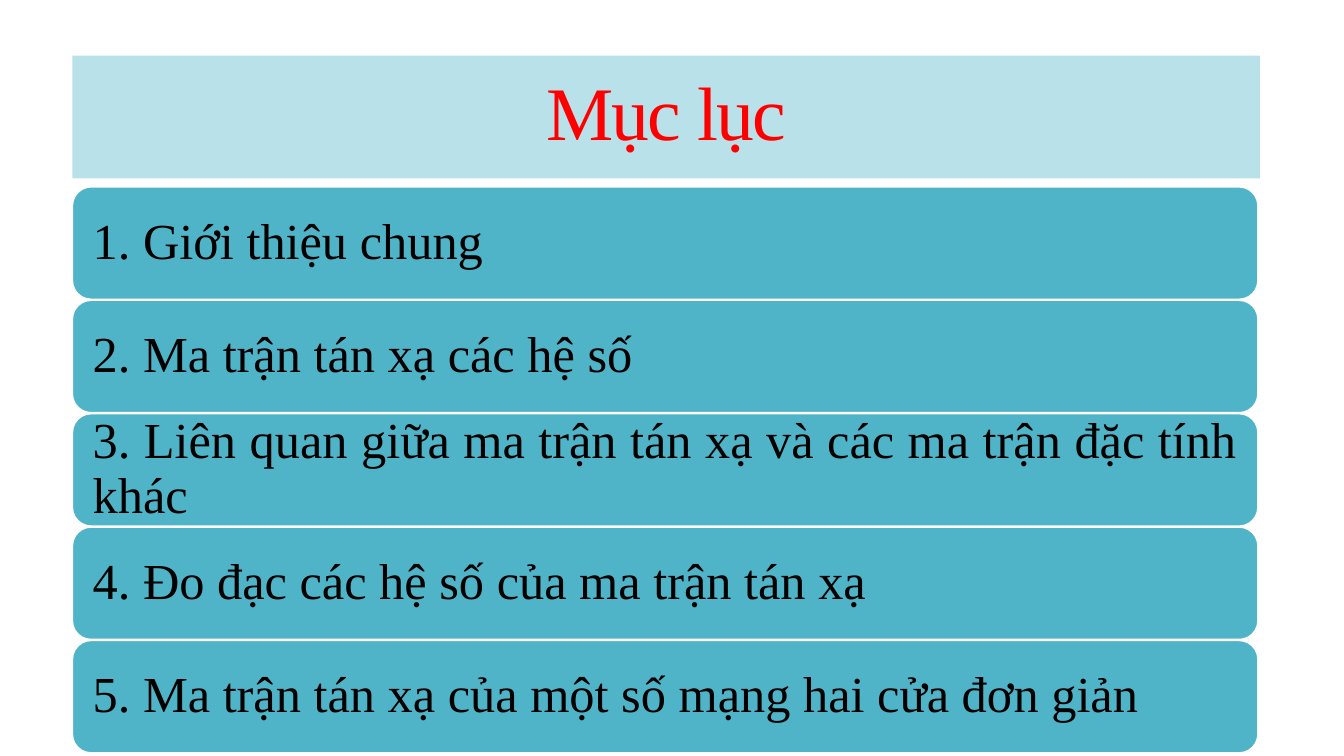
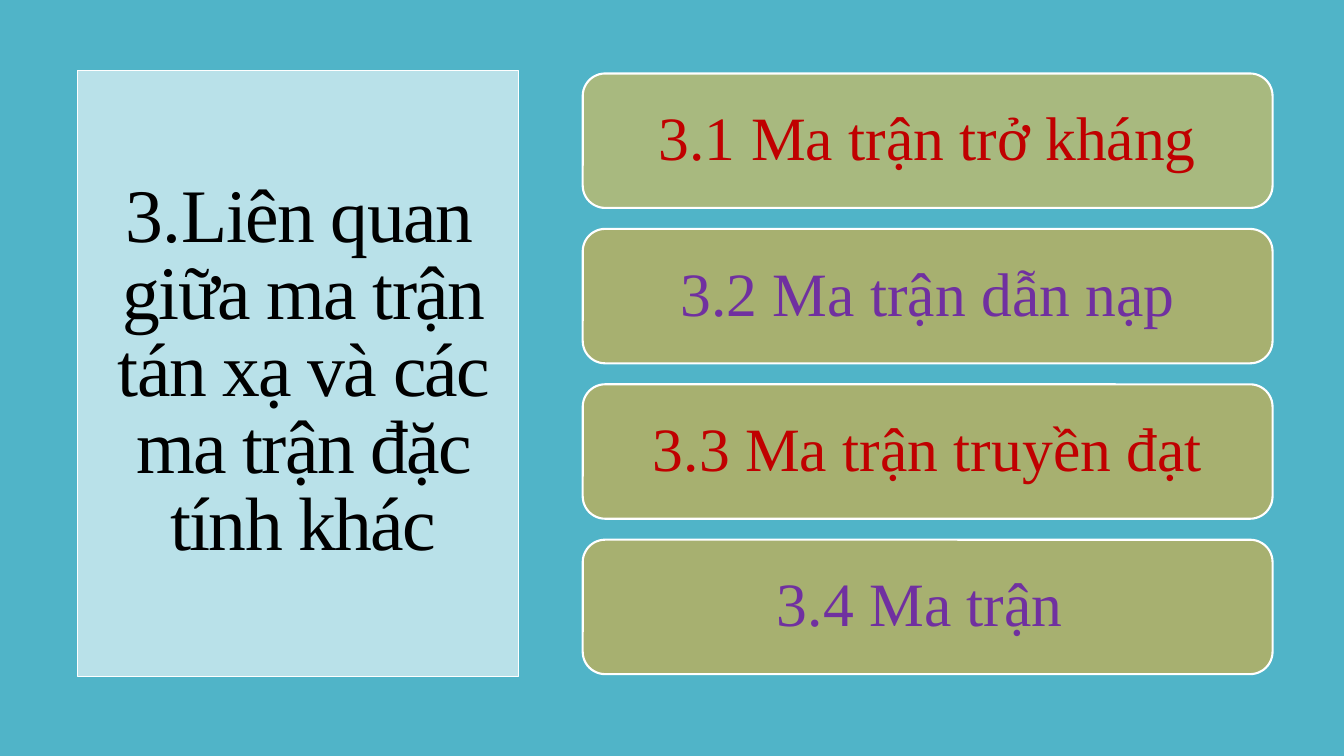
from pptx import Presentation
from pptx.dml.color import RGBColor
from pptx.enum.shapes import MSO_SHAPE
from pptx.enum.text import MSO_ANCHOR, MSO_AUTO_SIZE, PP_ALIGN
from pptx.oxml.ns import qn
from pptx.util import Pt
from lxml import etree

PX = 9525
FONT = "Times New Roman"
HUES = {
    "white": "FFFFFF", "black": "000000", "teal": "50B4C8", "pale": "B9E1E9",
    "sage": "A8B97F", "olive": "A7B070", "red": "FF0000", "dark": "C00000",
    "plum": "7030A0",
}
DECK = [
    {
        "back": "white", "title": "Mục lục", "hue": "red", "start": None,
        "head": (69, 53, 1131, 117), "edge": 0,
        "card": (69, 178, 1129, 107), "step": 108, "line": 1, "pad": 14,
        "size": 36, "align": PP_ALIGN.JUSTIFY,
        "rows": [
            ("1. Giới thiệu chung", "teal", "black"),
            ("2. Ma trận tán xạ các hệ số", "teal", "black"),
            ("3. Liên quan giữa ma trận tán xạ và các ma trận đặc tính khác", "teal", "black"),
            ("4. Đo đạc các hệ số của ma trận tán xạ", "teal", "black"),
            ("5. Ma trận tán xạ của một số mạng hai cửa đơn giản", "teal", "black"),
        ],
    },
    {
        "back": "teal", "hue": "black", "start": 3,
        "title": "Liên quan giữa ma trận tán xạ và các ma trận đặc tính khác",
        "head": (74, 67, 420, 577), "edge": 0.75,
        "card": (555, 70, 657, 128), "step": 148, "line": 1.5, "pad": 17,
        "size": 44, "align": PP_ALIGN.CENTER,
        "rows": [
            ("3.1 Ma trận trở kháng", "sage", "dark"),
            ("3.2 Ma trận dẫn nạp", "olive", "plum"),
            ("3.3 Ma trận truyền đạt", "olive", "dark"),
            ("3.4 Ma trận ", "olive", "plum"),
        ],
    },
]


def paint(shape, fill, width):
    shape.fill.solid()
    shape.fill.fore_color.rgb = RGBColor.from_string(HUES[fill])
    if width:
        shape.line.color.rgb = RGBColor.from_string(HUES["white"])
        shape.line.width = Pt(width)
    else:
        shape.line.fill.background()


def write(shape, text, size, hue, align, space, start=None):
    frame = shape.text_frame
    frame.word_wrap = True
    frame.auto_size = MSO_AUTO_SIZE.NONE
    frame.vertical_anchor = MSO_ANCHOR.MIDDLE
    para = frame.paragraphs[0]
    para.text = text
    para.alignment = align
    para.line_spacing = space
    if start:
        props = para._p.get_or_add_pPr()
        props.set("marL", "91440")
        props.set("indent", "-91440")
        num = etree.SubElement(props, qn("a:buAutoNum"))
        num.set("type", "arabicPeriod")
        num.set("startAt", str(start))
    para.font.name = FONT
    para.font.size = Pt(size)
    para.font.color.rgb = RGBColor.from_string(HUES[hue])
    return para


deck = Presentation()
deck.slide_width = 1280 * PX
deck.slide_height = 720 * PX

for page in DECK:
    slide = deck.slides.add_slide(deck.slide_layouts[5])
    slide.background.fill.solid()
    slide.background.fill.fore_color.rgb = RGBColor.from_string(HUES[page["back"]])

    title = slide.shapes.title
    title.left, title.top, title.width, title.height = [n * PX for n in page["head"]]
    paint(title, "pale", page["edge"])
    para = write(title, page["title"], 54, page["hue"], PP_ALIGN.CENTER, 0.85, page["start"])
    para.runs[0]._r.get_or_add_rPr().set("spc", "-120")

    left, top, width, height = page["card"]
    for i, (text, fill, hue) in enumerate(page["rows"]):
        card = slide.shapes.add_shape(
            MSO_SHAPE.ROUNDED_RECTANGLE,
            left * PX, (top + i * page["step"]) * PX, width * PX, height * PX)
        card.shadow.inherit = False
        paint(card, fill, page["line"])
        frame = card.text_frame
        frame.margin_left = frame.margin_right = page["pad"] * PX
        frame.margin_top = frame.margin_bottom = 0
        write(card, text, page["size"], hue, page["align"], 0.9)

deck.save("out.pptx")
